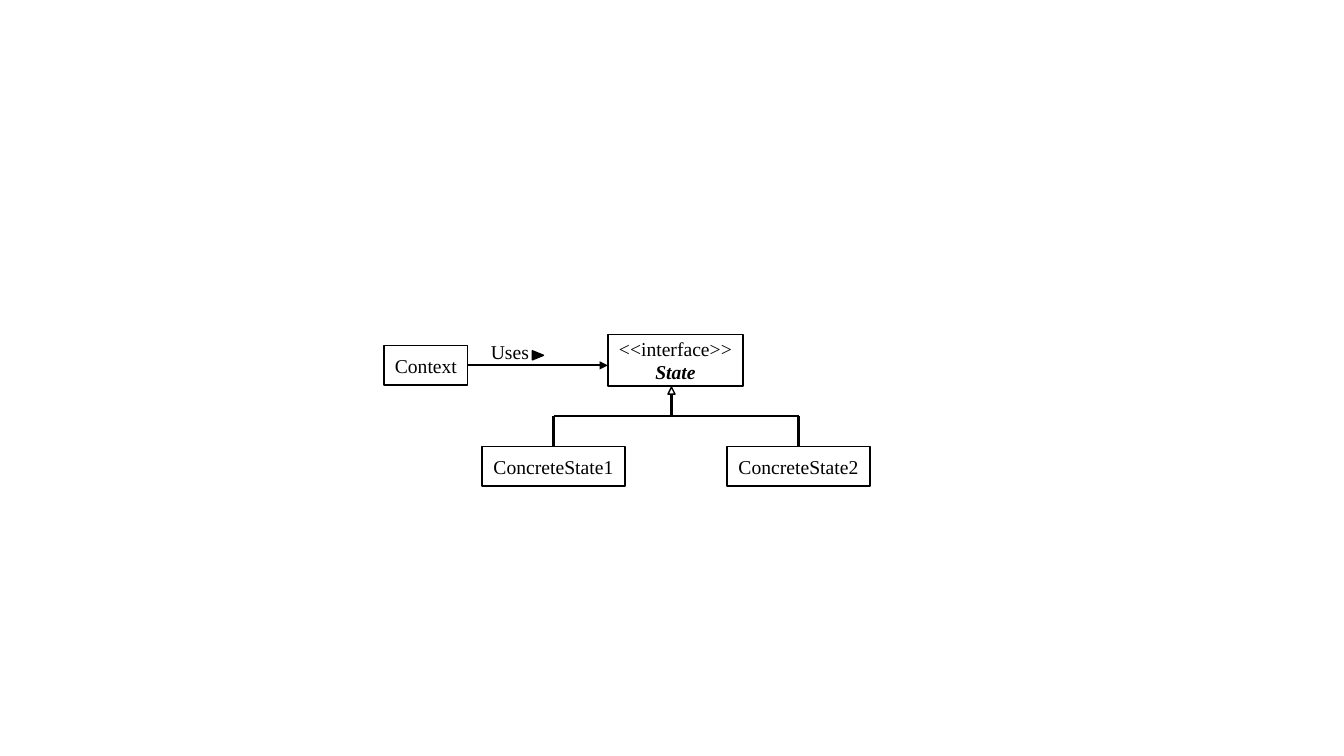
from pptx import Presentation
from pptx.dml.color import RGBColor
from pptx.enum.shapes import MSO_CONNECTOR, MSO_SHAPE
from pptx.enum.text import MSO_ANCHOR, MSO_AUTO_SIZE, PP_ALIGN
from pptx.oxml.ns import qn
from pptx.util import Inches, Pt
from lxml import etree

RECTANGLE, TRIANGLE = MSO_SHAPE.RECTANGLE, MSO_SHAPE.ISOSCELES_TRIANGLE
STRAIGHT = MSO_CONNECTOR.STRAIGHT
MIDDLE, CENTER, LEFT = MSO_ANCHOR.MIDDLE, PP_ALIGN.CENTER, PP_ALIGN.LEFT
FIT_SHAPE = MSO_AUTO_SIZE.SHAPE_TO_FIT_TEXT
COLORS = {"ink": "000000", "paper": "FFFFFF"}
FONT = "Times New Roman"
TOP, RIGHT = 0, 3


def color(name):
    return RGBColor.from_string(COLORS[name])


def write(paragraph, text, size=14, bold=False, italic=False, align=CENTER):
    paragraph.alignment = align
    run = paragraph.add_run()
    run.text = text
    font = run.font
    font.name, font.size = FONT, Pt(size)
    font.bold, font.italic = bold, italic
    font.color.rgb = color("ink")


def add_outlined(slide, kind, box, fill="paper"):
    shape = slide.shapes.add_shape(kind, *map(Inches, box))
    shape.shadow.inherit = False
    shape.fill.solid()
    shape.fill.fore_color.rgb = color(fill)
    shape.line.color.rgb = color("ink")
    shape.line.width = Pt(1)
    return shape


def add_class(slide, box, name, stereotype=None, abstract=False):
    class_box = add_outlined(slide, RECTANGLE, box)
    frame = class_box.text_frame
    frame.vertical_anchor = MIDDLE
    frame.word_wrap = False
    paragraph = frame.paragraphs[0]
    if stereotype:
        write(paragraph, stereotype)
        paragraph = frame.add_paragraph()
    write(paragraph, name, bold=abstract, italic=abstract)
    return class_box


def add_line(slide, start, end, arrow=False):
    line = slide.shapes.add_connector(STRAIGHT, *map(Inches, start + end))
    line.line.color.rgb = color("ink")
    line.line.width = Pt(1.5)
    if arrow:
        etree.SubElement(line.line._get_or_add_ln(), qn("a:tailEnd"), type="triangle")
    etree.SubElement(line._element.spPr, qn("a:effectLst"))
    return line


def add_inheritance(slide, box, state_classes):
    """Draw the concrete states along the foot of the box and their tree up to its top."""
    left, top, width, height = box
    class_width, class_height = 1.42, 0.39
    class_top = top + height - class_height
    bar_y = class_top - 0.3
    stem_x = left + 1.88
    head_width, head_height = 0.07, 0.07

    centers = []
    for class_left, name in zip((left, left + width - class_width), state_classes):
        concrete_state = add_class(
            slide, (class_left, class_top, class_width, class_height), name)
        center = class_left + class_width / 2
        branch = add_line(slide, (center, class_top), (center, bar_y))
        branch.begin_connect(concrete_state, TOP)
        centers.append(center)

    add_line(slide, (centers[0], bar_y), (centers[1], bar_y))
    add_line(slide, (stem_x, top + head_height), (stem_x, bar_y))
    add_outlined(slide, TRIANGLE,
                 (stem_x - head_width / 2, top, head_width, head_height))


def add_association(slide, box, label):
    """Draw the context, the state interface and the labelled arrow between them."""
    left, top, width, height = box
    context_width, context_height = 0.83, 0.39
    state_width = 1.34
    context_top = top + 0.11
    state_left = left + width - state_width
    arrow_y = context_top + context_height / 2
    context = add_class(
        slide, (left, context_top, context_width, context_height), "Context")
    add_class(slide, (state_left, top, state_width, height), "State",
              stereotype="<<interface>>", abstract=True)

    uses = add_line(slide, (left + context_width, arrow_y), (state_left, arrow_y),
                    arrow=True)
    uses.begin_connect(context, RIGHT)

    direction = add_outlined(slide, TRIANGLE, (left + 1.48, top + 0.15, 0.09, 0.11),
                             fill="ink")
    direction.rotation = 90
    caption = slide.shapes.add_textbox(
        Inches(left + 0.96), Inches(top), Inches(1.13), Inches(0.34))
    caption.text_frame.word_wrap = True
    caption.text_frame.auto_size = FIT_SHAPE
    write(caption.text_frame.paragraphs[0], label, align=LEFT)


def main():
    deck = Presentation()
    deck.slide_width, deck.slide_height = Inches(13.33), Inches(7.5)
    slide = deck.slides.add_slide(deck.slide_layouts[6])
    add_inheritance(slide, (4.78, 3.84, 3.85, 0.98),
                    ("ConcreteState1", "ConcreteState2"))
    add_association(slide, (3.81, 3.32, 3.56, 0.51), "Uses")
    deck.save("out.pptx")


if __name__ == "__main__":
    main()
